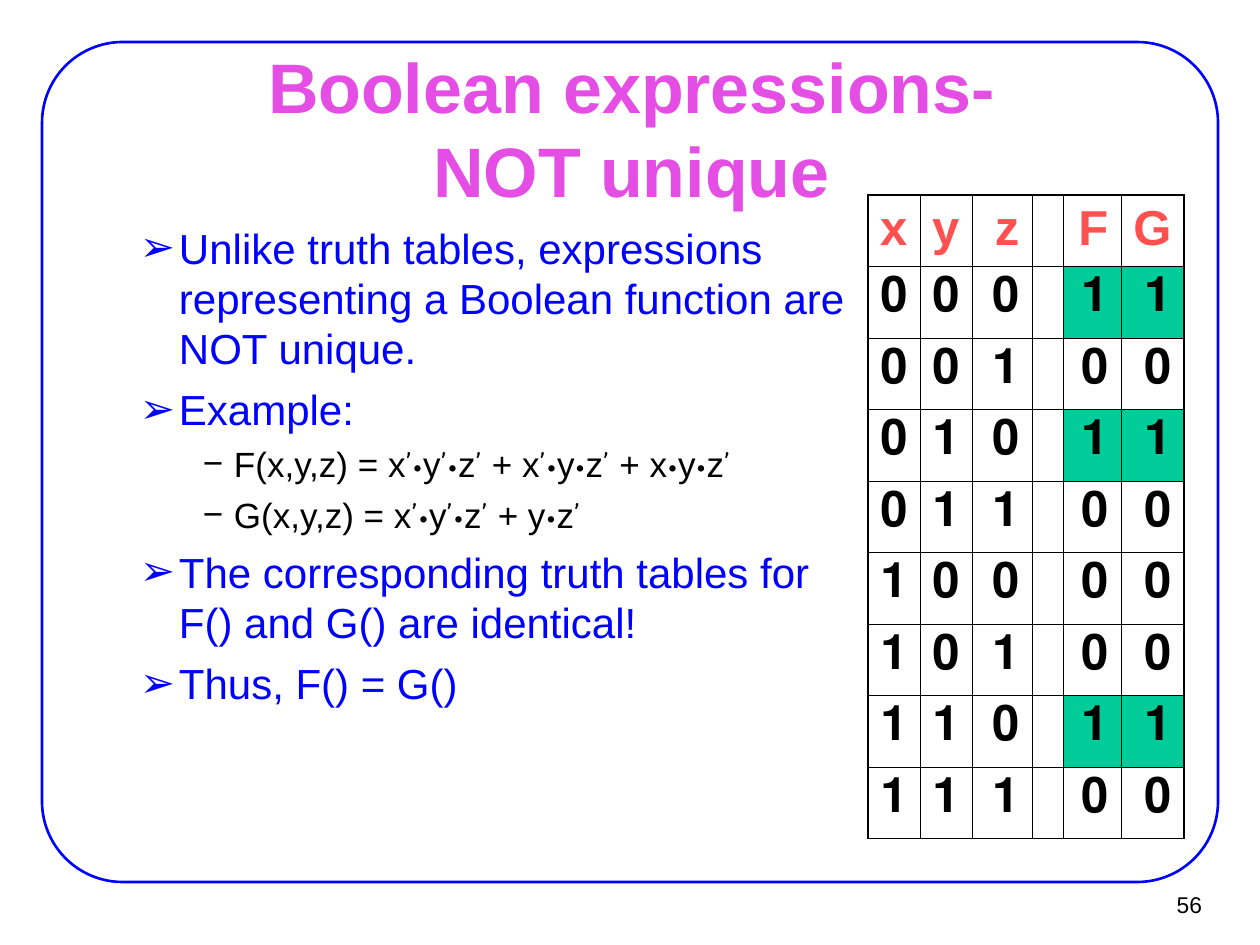
import pptx
import pptx.util
import pptx.dml.color
import pptx.enum.shapes
import pptx.enum.text
import pptx.oxml.ns
from lxml import etree

ALIGN = pptx.enum.text.PP_ALIGN
ANCHOR = pptx.enum.text.MSO_ANCHOR
SCALE = pptx.util.Inches(1) / 126
BLUE, BLACK, PINK, RED, GREEN = "0000FF", "000000", "E44EE4", "FF5050", "00CC99"
MARKS = "’•"

POINTS = [
    (1, "Unlike truth tables, expressions representing a Boolean function are NOT unique."),
    (1, "Example:"),
    (2, "F(x,y,z) = x’•y’•z’ + x’•y•z’ + x•y•z’"),
    (2, "G(x,y,z) = x’•y’•z’ + y•z’"),
    (1, "The corresponding truth tables for F() and G() are identical!"),
    (1, "Thus, F() = G()"),
]
# level: left margin, hang, size, space before, bullet, colour
LEVELS = {1: (102, 39, 24, 6, "➢", BLUE), 2: (157, 31, 20, 5, "−", BLACK)}

HEADS = ["x", "y", "z", "", "F", "G"]
WIDTHS = [52, 52, 60, 31, 58, 63]
ONES = {0, 2, 6}


def px(n):
    return pptx.util.Emu(round(n * SCALE))


def rgb(code):
    return pptx.dml.color.RGBColor.from_string(code)


def sub(node, tag, **attrs):
    return etree.SubElement(node, pptx.oxml.ns.qn("a:" + tag), **attrs)


def style(font, size, color, bold=False, name="Arial"):
    font.size = pptx.util.Pt(size)
    font.color.rgb = rgb(color)
    font.bold = bold
    font.name = name


def box(slide, x, y, w, h, inset=(14, 7), wrap=True):
    frame = slide.shapes.add_textbox(px(x), px(y), px(w), px(h)).text_frame
    frame.word_wrap = wrap
    frame.margin_left = frame.margin_right = px(inset[0])
    frame.margin_top = frame.margin_bottom = px(inset[1])
    return frame


def label(frame, text, align, size, color, bold=False):
    frame.text = text
    frame.vertical_anchor = ANCHOR.MIDDLE
    for para in frame.paragraphs:
        para.alignment = align
        for run in para.runs:
            style(run.font, size, color, bold)


def border(slide):
    shape = slide.shapes.add_shape(
        pptx.enum.shapes.MSO_SHAPE.ROUNDED_RECTANGLE, px(42), px(42), px(1176), px(840))
    shape.adjustments[0] = 0.096
    shape.shadow.inherit = False
    shape.fill.background()
    shape.line.color.rgb = rgb(BLUE)
    shape.line.width = pptx.util.Pt(1.5)


def split(text):
    """Cut the text where it changes between letters and logic marks."""
    parts = []
    for char in text:
        if parts and (char in MARKS) == (parts[-1][-1] in MARKS):
            parts[-1] += char
        else:
            parts.append(char)
    return parts


def bullet(para, level, text, first):
    left, hang, size, gap, mark, color = LEVELS[level]
    props = para._p.get_or_add_pPr()
    props.set("marL", str(px(left)))
    props.set("indent", str(-px(hang)))
    para.level = level - 1
    if not first:
        para.space_before = pptx.util.Pt(gap)
    sub(sub(props, "buClr"), "srgbClr", val=color)
    sub(props, "buFont", typeface="Arial")
    sub(props, "buChar", char=mark)
    for part in split(text):
        run = para.add_run()
        run.text = part
        name = "Comic Neue" if part[0] in MARKS else "Arial"
        style(run.font, size, color, name=name)


def points(slide):
    frame = box(slide, 63, 215, 800, 624)
    for i, (level, text) in enumerate(POINTS):
        para = frame.add_paragraph() if i else frame.paragraphs[0]
        bullet(para, level, text, i == 0)


def edges(cell, outer):
    """Draw the four cell borders, heavier on the outer sides."""
    props = cell._tc.get_or_add_tcPr()
    for i, (tag, thick) in enumerate(zip(("lnL", "lnR", "lnT", "lnB"), outer)):
        width = pptx.util.Pt(1.08 if thick else 0.45)
        line = etree.Element(pptx.oxml.ns.qn("a:" + tag), w=str(width))
        sub(sub(line, "solidFill"), "srgbClr", val=BLACK)
        props.insert(i, line)


def entry(cell, text, color):
    cell.text_frame.text = text
    para = cell.text_frame.paragraphs[0]
    para.alignment = ALIGN.RIGHT
    para._p.get_or_add_pPr().set("rtl", "1")
    for run in para.runs:
        style(run.font, 28, color, True)


def truth(slide):
    rows = [HEADS]
    for n in range(8):
        out = str(int(n in ONES))
        rows.append([*f"{n:03b}", "", out, out])
    table = slide.shapes.add_table(
        len(rows), len(HEADS), px(868), px(195), px(sum(WIDTHS)), px(643)).table
    table.first_row = table.horz_banding = False
    for col, width in zip(table.columns, WIDTHS):
        col.width = px(width)
    last, end = len(rows) - 1, len(HEADS) - 1
    for r, row in enumerate(rows):
        for c, text in enumerate(row):
            cell = table.cell(r, c)
            entry(cell, text, BLACK if r else RED)
            if c > 3 and text == "1":
                cell.fill.solid()
                cell.fill.fore_color.rgb = rgb(GREEN)
            else:
                cell.fill.background()
            edges(cell, (c == 0, c == end, r == 0, r == last))


def main():
    deck = pptx.Presentation()
    deck.slide_width, deck.slide_height = px(1260), px(945)
    slide = deck.slides.add_slide(deck.slide_layouts[6])
    border(slide)
    # Page number and title
    page = box(slide, 1137, 881, 76, 46, (11, 5), False)
    label(page, "56", ALIGN.RIGHT, 13, BLACK)
    title = box(slide, 96, 97, 1071, 62)
    label(title, "Boolean expressions-\vNOT unique", ALIGN.CENTER, 40, PINK, True)
    # Body and truth table
    points(slide)
    truth(slide)
    deck.save("out.pptx")


if __name__ == "__main__":
    main()
